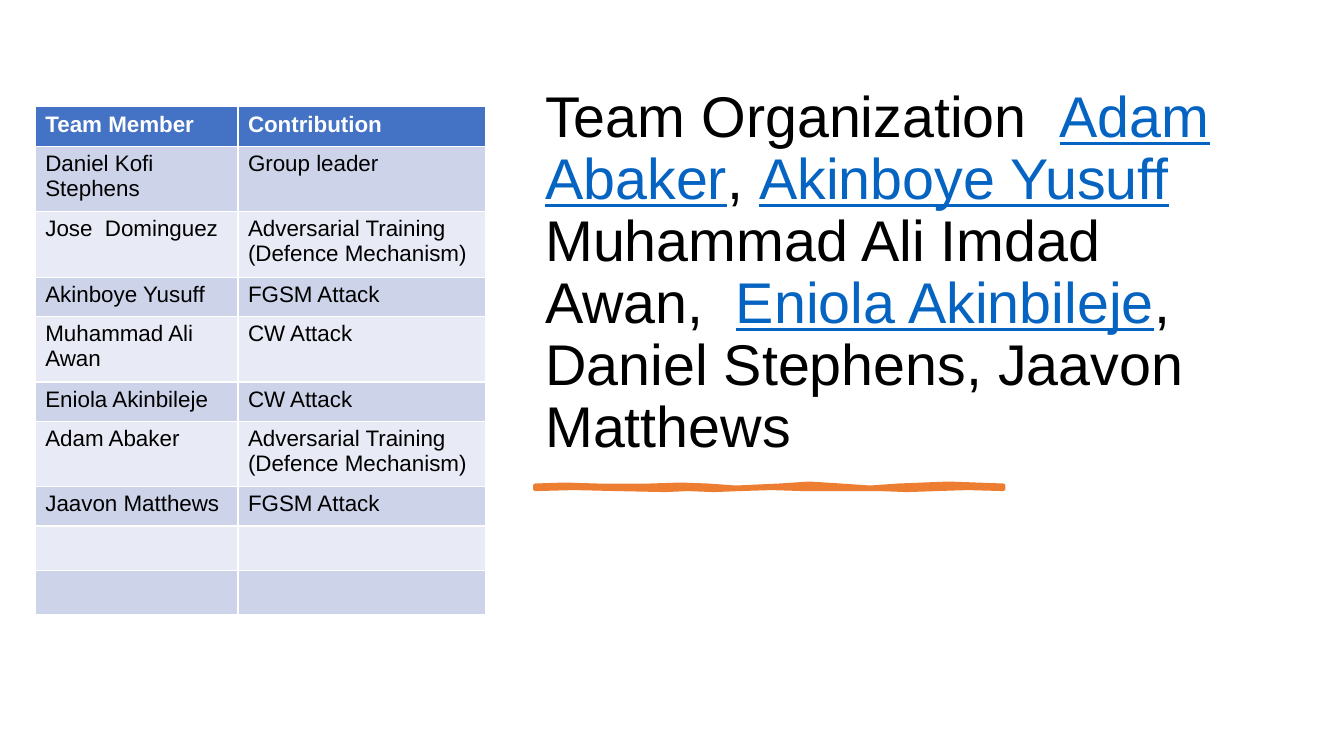
from pptx import Presentation
from pptx.dml.color import RGBColor
from pptx.enum.text import MSO_ANCHOR
from pptx.util import Inches, Pt

FONT = "Arial"
COLORS = {
    "text": "000000",
    "link": "0563C1",
    "header": "4472C4",
    "header_text": "FFFFFF",
    "dark_band": "CDD4EA",
    "light_band": "E8EBF5",
    "brush": "ED7D31",
}
COLUMN_WIDTHS = [2.01, 2.46]
ROWS = [
    (0.39, "Team Member", "Contribution"),
    (0.65, "Daniel Kofi Stephens", "Group leader"),
    (0.65, "Jose  Dominguez", "Adversarial Training (Defence Mechanism)"),
    (0.39, "Akinboye Yusuff", "FGSM Attack"),
    (0.65, "Muhammad Ali Awan", "CW Attack"),
    (0.39, "Eniola Akinbileje", "CW Attack"),
    (0.65, "Adam Abaker", "Adversarial Training (Defence Mechanism)"),
    (0.39, "Jaavon Matthews", "FGSM Attack"),
    (0.44, "", ""),
    (0.44, "", ""),
]
TITLE_SPANS = [
    ("Team Organization  ", False),
    ("Adam Abaker", True),
    (", ", False),
    ("Akinboye Yusuff", True),
    (" Muhammad Ali Imdad Awan,  ", False),
    ("Eniola Akinbileje", True),
    (", Daniel Stephens, Jaavon Matthews", False),
]
BRUSH_TOP = [
    (0, 0.02), (0.29, 0.01), (0.61, 0.02), (1.14, 0.02), (1.44, 0.01),
    (1.71, 0.02), (1.99, 0.04), (2.42, 0.02), (2.72, 0), (3.03, 0.02),
    (3.32, 0.04), (3.6, 0.02), (4.1, 0), (4.64, 0.02),
]
BRUSH_BOTTOM = [
    (4.64, 0.05), (4.29, 0.04), (3.98, 0.05), (3.69, 0.06), (3.41, 0.05),
    (2.65, 0.05), (2.34, 0.04), (2.03, 0.05), (1.77, 0.06), (1.51, 0.05),
    (1.29, 0.06), (0.8, 0.05), (0.39, 0.04), (0, 0.05),
]


def color(name):
    return RGBColor.from_string(COLORS[name])


def add_team_table(page, left, top, width, height):
    table = page.shapes.add_table(
        len(ROWS), len(COLUMN_WIDTHS),
        Inches(left), Inches(top), Inches(width), Inches(height),
    ).table
    for column, column_width in zip(table.columns, COLUMN_WIDTHS):
        column.width = Inches(column_width)
    for index, (row_height, *texts) in enumerate(ROWS):
        table.rows[index].height = Inches(row_height)
        header = index == 0
        band = "header" if header else "dark_band" if index % 2 else "light_band"
        for cell, text in zip(table.rows[index].cells, texts):
            cell.fill.solid()
            cell.fill.fore_color.rgb = color(band)
            cell.text = text
            font = cell.text_frame.paragraphs[0].font
            font.name = FONT
            font.size = Pt(16)
            font.bold = header
            font.color.rgb = color("header_text" if header else "text")


def add_title(page, left, top, width, height):
    box = page.shapes.add_textbox(
        Inches(left), Inches(top), Inches(width), Inches(height))
    frame = box.text_frame
    frame.word_wrap = True
    frame.vertical_anchor = MSO_ANCHOR.BOTTOM
    para = frame.paragraphs[0]
    para.line_spacing = 0.9
    para.font.name = FONT
    para.font.size = Pt(41)
    for text, linked in TITLE_SPANS:
        span = para.add_run()
        span.text = text
        span.font.underline = linked
        span.font.color.rgb = color("link" if linked else "text")


def add_brush_stroke(page, left, top):
    points = [(Inches(left + x), Inches(top + y))
              for x, y in BRUSH_TOP + BRUSH_BOTTOM]
    builder = page.shapes.build_freeform(*points[0])
    builder.add_line_segments(points[1:], close=True)
    stroke = builder.convert_to_shape()
    stroke.shadow.inherit = False
    stroke.fill.solid()
    stroke.fill.fore_color.rgb = color("brush")
    stroke.line.color.rgb = color("brush")
    stroke.line.width = Pt(3.25)


def main():
    deck = Presentation()
    deck.slide_width = Inches(13.33)
    deck.slide_height = Inches(7.5)
    page = deck.slides.add_slide(deck.slide_layouts[6])
    add_title(page, 5.31, 0.35, 7.33, 4.26)
    add_brush_stroke(page, 5.31, 4.8)
    add_team_table(page, 0.35, 1.06, 4.47, 5.04)
    deck.save("out.pptx")


if __name__ == "__main__":
    main()
